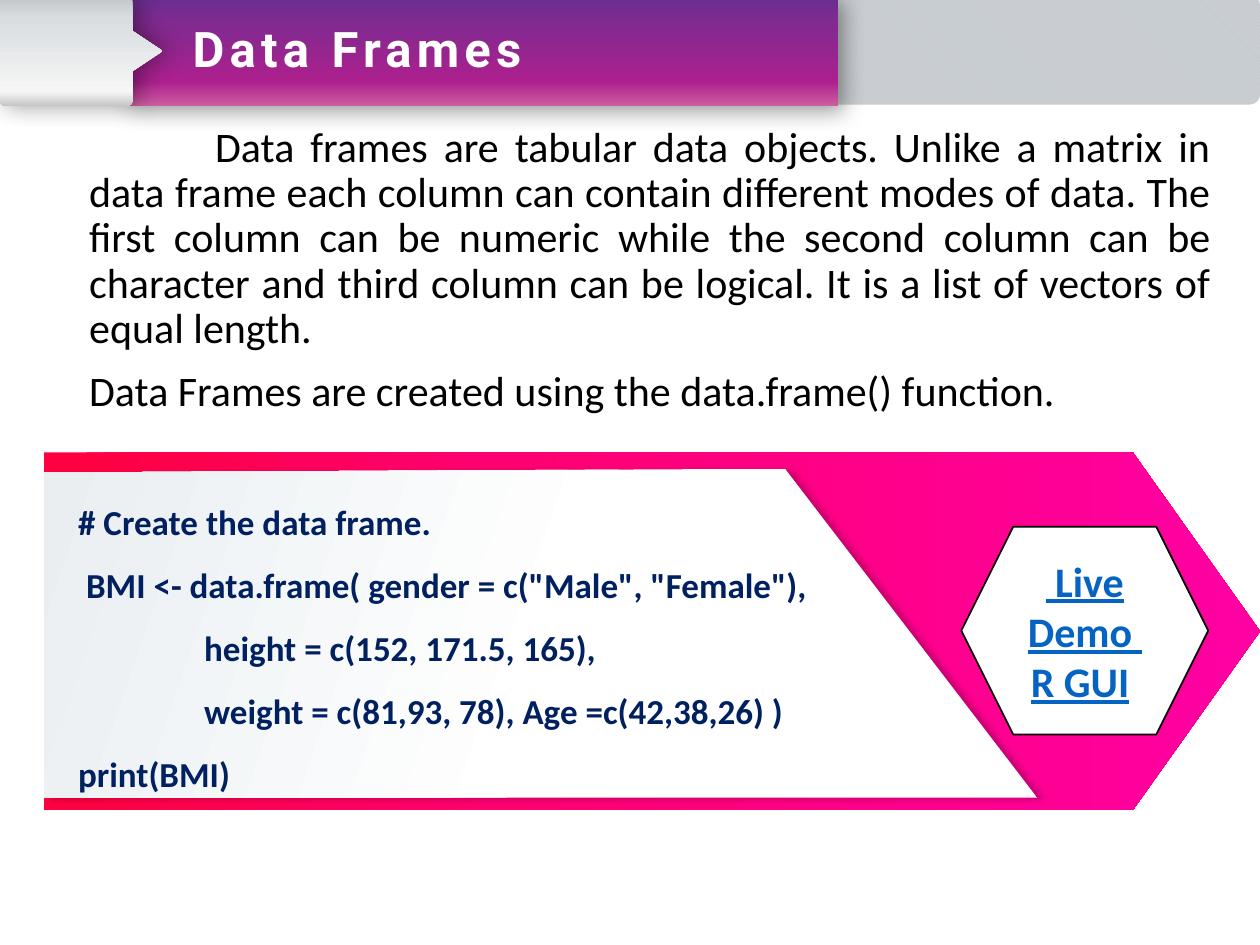
import math

import lxml.etree
import pptx
import pptx.dml.color
import pptx.enum.dml
import pptx.enum.shapes
import pptx.enum.text
import pptx.oxml
import pptx.oxml.ns
import pptx.util

Inches = pptx.util.Inches
Pt = pptx.util.Pt
SHAPES = pptx.enum.shapes.MSO_SHAPE
ALIGN = pptx.enum.text.PP_ALIGN
NS = 'xmlns:a="http://schemas.openxmlformats.org/drawingml/2006/main"'


def color(hex_value):
    return pptx.dml.color.RGBColor.from_string(hex_value)


def plain(shape):
    shape.shadow.inherit = False
    shape.line.fill.background()
    return shape


def preset(slide, kind, box):
    return plain(slide.shapes.add_shape(kind, *map(Inches, box)))


def outline(slide, points):
    corners = [(Inches(x), Inches(y)) for x, y in points]
    builder = slide.shapes.build_freeform(*corners[0])
    builder.add_line_segments(corners[1:], close=True)
    return plain(builder.convert_to_shape())


def gradient(shape, stops, angle):
    """Linear fill; the angle runs clockwise from left-to-right."""
    stop_xml = "".join(
        f'<a:gs pos="{pos * 1000}"><a:srgbClr val="{value}"/></a:gs>' for pos, value in stops)
    fill = pptx.oxml.parse_xml(
        f'<a:gradFill {NS} rotWithShape="1"><a:gsLst>{stop_xml}</a:gsLst>'
        f'<a:lin ang="{angle * 60000}" scaled="0"/></a:gradFill>')
    geometry = shape.element.spPr.find(pptx.oxml.ns.qn("a:custGeom"))
    if geometry is None:
        geometry = shape.element.spPr.find(pptx.oxml.ns.qn("a:prstGeom"))
    geometry.addnext(fill)


def cast_shadow(shape, alpha, blur, distance, angle):
    effects = shape.element.spPr.find(pptx.oxml.ns.qn("a:effectLst"))
    effects.append(pptx.oxml.parse_xml(
        f'<a:outerShdw {NS} blurRad="{Pt(blur)}" dist="{Pt(distance)}" dir="{angle * 60000}" '
        f'algn="ctr" rotWithShape="0"><a:srgbClr val="000000">'
        f'<a:alpha val="{alpha * 1000}"/></a:srgbClr></a:outerShdw>'))


def write(frame, lines, size, font, hex_value, bold=False, underline=False,
          align=ALIGN.LEFT, line_spacing=None, space_before=None):
    frame.word_wrap = True
    for index, line in enumerate(lines):
        paragraph = frame.paragraphs[0] if index == 0 else frame.add_paragraph()
        paragraph.alignment = align
        paragraph.line_spacing = line_spacing
        paragraph.space_before = space_before
        paragraph._p.get_or_add_pPr().set("defTabSz", str(Inches(1)))
        run = paragraph.add_run()
        run.text = line
        run.font.size = Pt(size)
        run.font.name = font
        run.font.bold = bold
        run.font.underline = underline
        run.font.color.rgb = color(hex_value)


def tab_points(left, top, width, height, radius=0.04):
    """Rounded rectangle with a pointer in the middle of its right side."""
    right, bottom, middle = left + width, top + height, top + height / 2
    points = [(right + 0.24, middle), (right, middle + 0.16)]
    corners = [(right - radius, bottom - radius), (left + radius, bottom - radius),
               (left + radius, top + radius), (right - radius, top + radius)]
    for quarter, (x, y) in enumerate(corners):
        for step in range(5):
            # The first corner is the lower right one, then clockwise
            turn = math.radians(90 * quarter + 22.5 * step)
            points.append((x + radius * math.cos(turn), y + radius * math.sin(turn)))
    return points + [(right, middle - 0.16)]


def add_header(slide, left, top, width, height):
    # Grey strip behind the title
    strip = preset(slide, SHAPES.ROUNDED_RECTANGLE, (left, top - 0.01, width, height))
    strip.adjustments[0] = 0.095
    strip.fill.patterned()
    strip.fill.pattern = pptx.enum.dml.MSO_PATTERN.DARK_DOWNWARD_DIAGONAL
    strip.fill.fore_color.rgb = color("D8DBDE")
    strip.fill.back_color.rgb = color("C6CBCF")

    # Purple title bar
    bar = preset(slide, SHAPES.RECTANGLE, (left + 1.01, top, 5.64, height))
    gradient(bar, [(0, "682D91"), (25, "812A90"), (78, "AC208E"), (100, "CE5DA1")], 90)
    cast_shadow(bar, 40, 13, 3, 45)

    # Silver tab with pointer
    tab = outline(slide, tab_points(left, top, 1.05, height))
    gradient(tab, [(0, "BFC4C8"), (20, "D9DDE0"), (87, "F6F6F6"), (100, "C5C6C8")], 90)
    cast_shadow(tab, 40, 14, 3, 0)

    title = slide.shapes.add_textbox(
        Inches(left + 1.43), Inches(top + 0.13), Inches(4.99), Inches(0.57))
    write(title.text_frame, ["Data Frames"], 28, "Roboto", "FFFFFF", bold=True)
    title.text_frame.paragraphs[0].runs[0].font._element.set("spc", "300")


def add_description(slide, left, top, width, height):
    description = slide.shapes.add_textbox(*map(Inches, (left, top, width, height)))
    write(description.text_frame, [
        "\tData frames are tabular data objects. Unlike a matrix in data frame each column can "
        "contain different modes of data. The first column can be numeric while the second "
        "column can be character and third column can be logical. It is a list of vectors of "
        "equal length.",
        "Data Frames are created using the data.frame() function.",
    ], 24, "Calibri", "000000", align=ALIGN.JUSTIFY, line_spacing=0.9, space_before=Pt(10))


def add_code_banner(slide, left, top, width, height):
    right, bottom = left + width, top + height
    # Pink arrow
    arrow = outline(slide, [(left, top), (right - 1.01, top), (right, top + height / 2),
                            (right - 1.01, bottom), (left, bottom)])
    gradient(arrow, [(2, "FF0040"), (37, "FF0071"), (99, "FF00A2")], 0)

    # Slanted code panel
    panel = outline(slide, [(left, bottom - 0.1), (left + 7.88, bottom - 0.1),
                            (left + 5.88, top + 0.13), (left, top + 0.16)])
    gradient(panel, [(0, "FFFFFF"), (48, "FFFFFF"), (100, "EAEEF1")], 199)
    cast_shadow(panel, 22, 4, 4.4, 18)

    code = slide.shapes.add_textbox(
        Inches(left + 0.22), Inches(top + 0.17), Inches(6.71), Inches(2.63)).text_frame
    code.margin_left = code.margin_right = Inches(0.05)
    write(code, [
        "# Create the data frame.",
        ' BMI <- data.frame( gender = c("Male", "Female"),',
        "\theight = c(152, 171.5, 165),",
        "\tweight = c(81,93, 78), Age =c(42,38,26) )",
        "print(BMI)",
    ], 20, "Calibri", "002060", bold=True, line_spacing=1.5)

    # Demo badge
    badge = preset(slide, SHAPES.HEXAGON, (right - 2.37, top + 0.59, 1.96, 1.65))
    badge.fill.solid()
    badge.fill.fore_color.rgb = color("FFFFFF")
    badge.line.color.rgb = color("000000")
    badge.line.width = Pt(1)
    badge.text_frame.vertical_anchor = pptx.enum.text.MSO_ANCHOR.MIDDLE
    write(badge.text_frame, [" Live Demo ", "R GUI"], 24, "Calibri", "0563C1",
          bold=True, underline=True, align=ALIGN.CENTER)
    # The closing space carries no underline
    closing = badge.text_frame.paragraphs[1].add_run()
    closing.text = " "
    closing.font.size = Pt(24)
    closing.font.name = "Calibri"
    closing.font.color.rgb = color("FFFFFF")


def main():
    deck = pptx.Presentation()
    deck.slide_width, deck.slide_height = Inches(10), Inches(7.5)
    slide = deck.slides.add_slide(deck.slide_layouts[6])
    add_header(slide, 0, -0.03, 10, 0.87)
    add_description(slide, 0.61, 0.95, 9.1, 1.86)
    add_code_banner(slide, 0.35, 3.59, 9.65, 2.84)
    deck.save("out.pptx")


if __name__ == "__main__":
    main()
